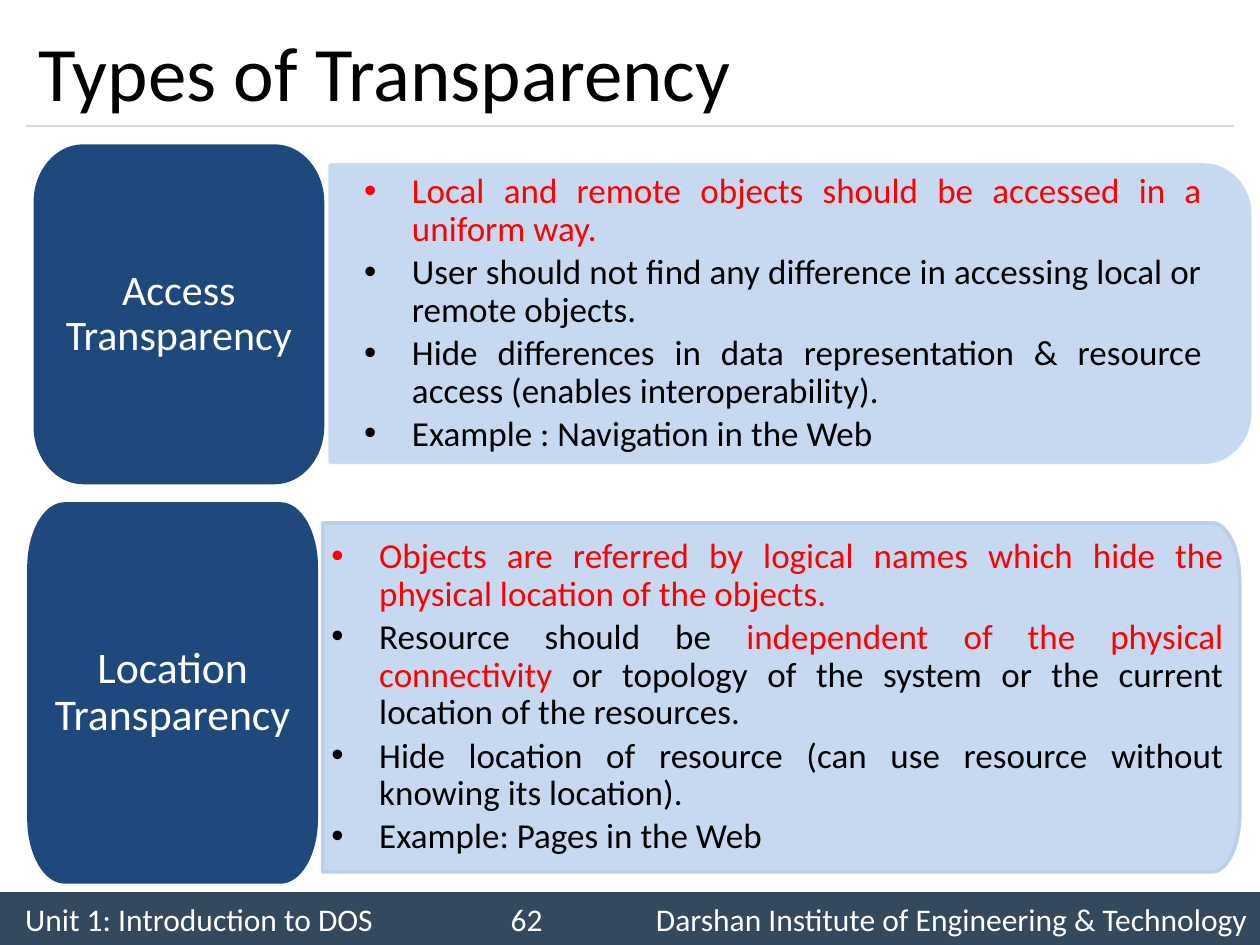
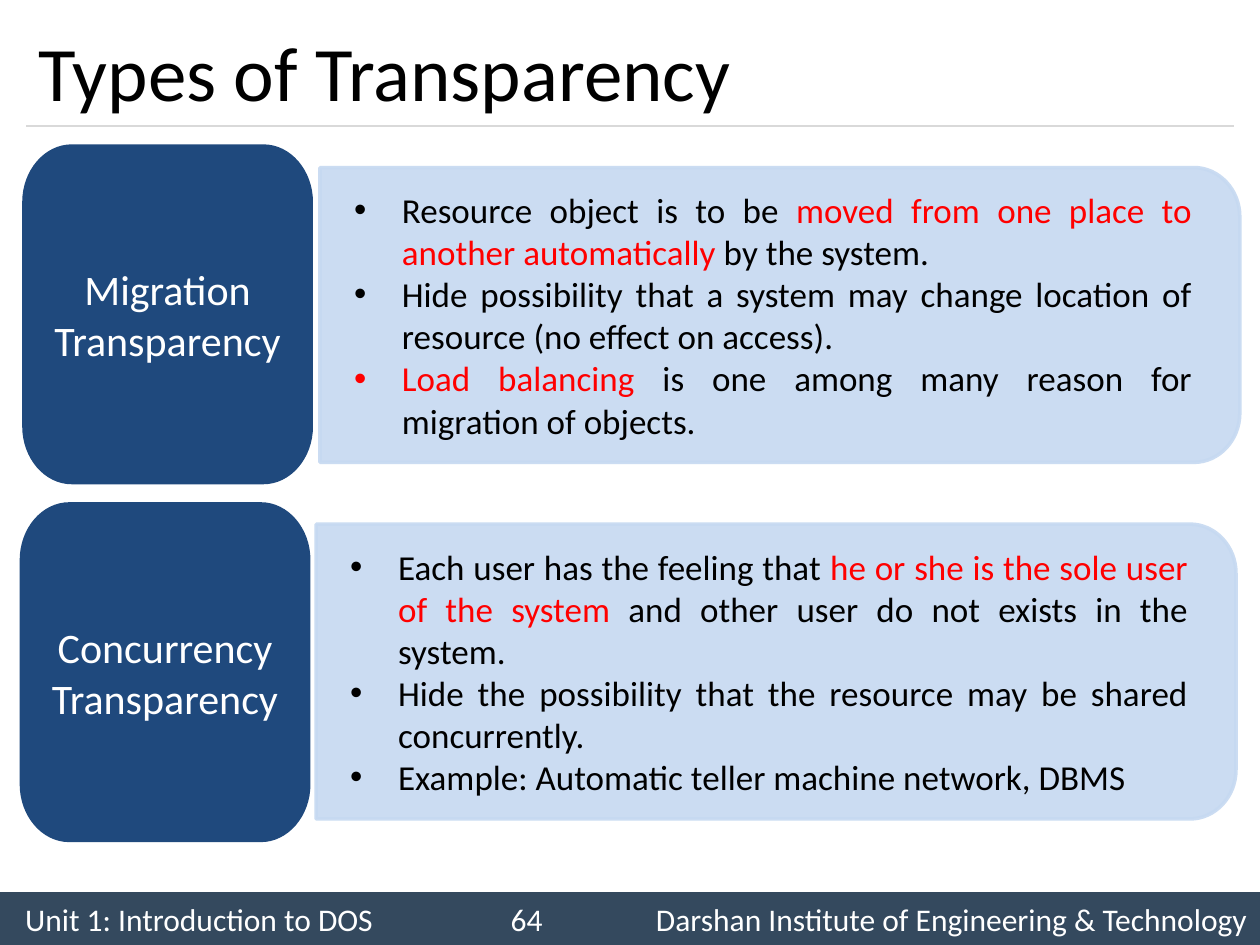
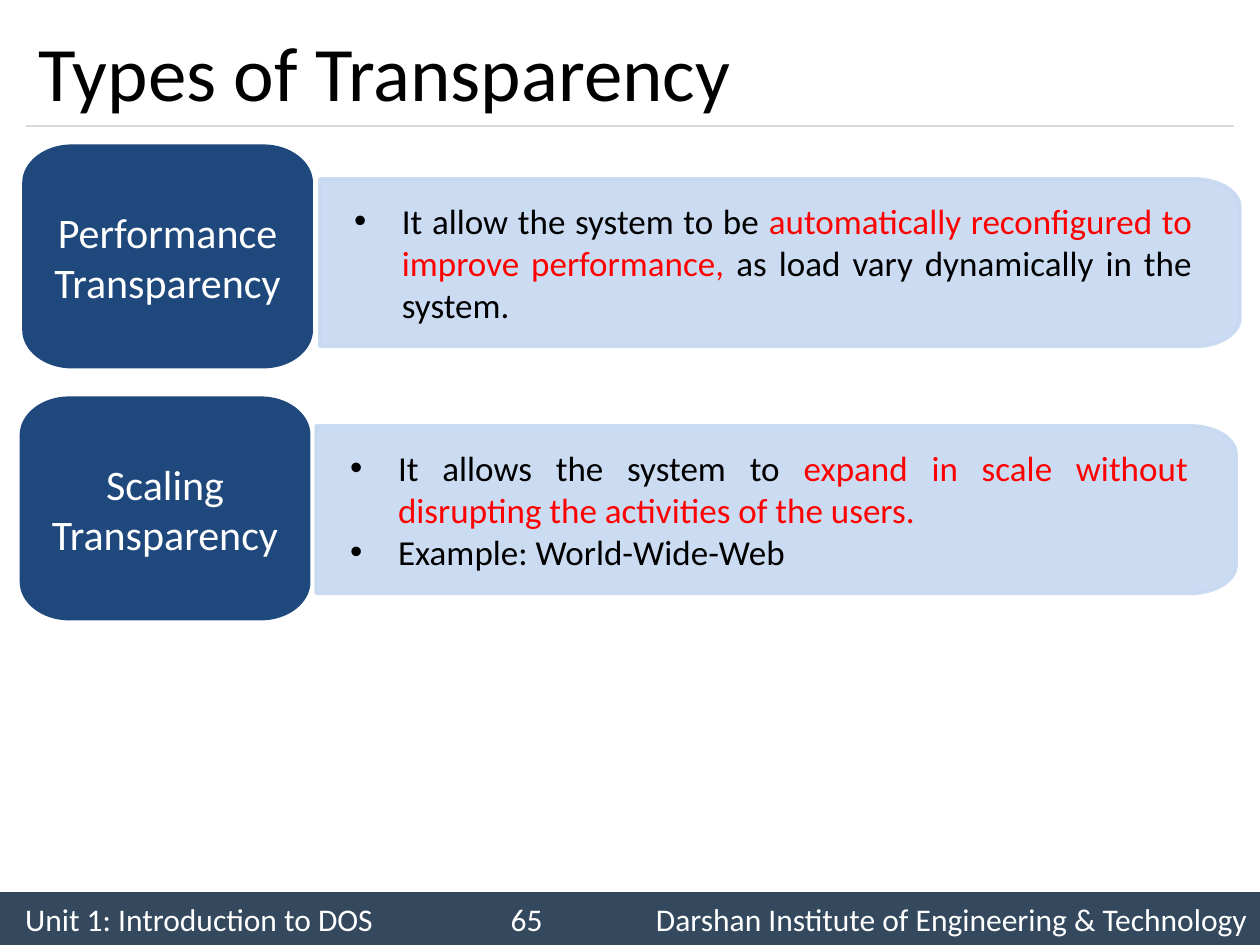
from lxml import etree
from pptx import Presentation, util as u
from pptx.dml.color import RGBColor
from pptx.enum import shapes as s, text as t
from pptx.oxml.ns import qn

W, H = 10, 7.5
FONT = "Calibri"
NAVY, PALE, EDGE = "1F497D", "C6D9F1", "B9CDE5"
BAND, RULE = "34495E", "D9D9D9"
RED, BLACK, WHITE = "FF0000", "000000", "FFFFFF"

TITLE = "Types of Transparency"
UNIT = "Unit 1: Introduction to DOS"
SCHOOL = "Darshan Institute of Engineering & Technology"
TAG_W = 2.28
BEND = 0.55  # control point of a quarter ellipse, as a share of its radius

# Text between asterisks is red.
# "tag" is left, top, height of the label; "box" is left, top, width, height of the panel.
TIGHT = dict(spacing=0.9, after=3, alpha=100)
PAGES = [
    (62, [
        dict(name=["Access Transparency"], tag=(0.28, 1.16, 2.67),
             box=(2.62, 1.31, 7.3, 2.36), **TIGHT,
             items=["*Local and remote objects should be accessed in a uniform way.*",
                    "User should not find any difference in accessing local or remote objects.",
                    "Hide differences in data representation & resource access "
                    "(enables interoperability).",
                    "Example : Navigation in the Web"]),
        dict(name=["Location Transparency"], tag=(0.23, 4, 3),
             box=(2.56, 4.15, 7.28, 2.77), **TIGHT,
             size=25, edge=EDGE, round=(1 / 8, 0.03), pad=(0.07, 0.1, 0.13, 0.1),
             items=["*Objects are referred by logical names which hide the physical "
                    "location of the objects.*",
                    "Resource should be *independent of the physical connectivity *or "
                    "topology of the system or the current location of the resources.",
                    "Hide location of resource (can use resource without knowing its location).",
                    "Example: Pages in the Web"]),
    ]),
    (64, [
        dict(name=["Migration Transparency"], tag=(0.19, 1.16, 2.67),
             box=(2.54, 1.33, 7.3, 2.34),
             items=["Resource object is to be *moved from one place to another "
                    "automatically* by the system.",
                    "Hide possibility that a system may change location of resource "
                    "(no effect on access).",
                    "*Load balancing *is one among many reason for migration of objects."]),
        dict(name=["Concurrency Transparency"], tag=(0.17, 4, 2.67),
             box=(2.51, 4.16, 7.3, 2.34),
             items=["Each user has the feeling that *he or she is the sole user of the "
                    "system* and other user do not exists in the system.",
                    "Hide the possibility that the resource may be shared concurrently.",
                    "Example: Automatic teller machine network, DBMS"]),
    ]),
    (65, [
        dict(name=["Performance Transparency"], tag=(0.19, 1.16, 1.75),
             box=(2.54, 1.42, 7.3, 1.33),
             items=["It allow the system to be *automatically reconfigured to improve "
                    "performance, *as load vary dynamically in the system."]),
        dict(name=["Scaling", "Transparency"], tag=(0.17, 3.16, 1.75),
             box=(2.51, 3.38, 7.3, 1.33),
             items=["It allows the system to *expand in scale without disrupting the "
                    "activities of the users.*",
                    "Example: World-Wide-Web"]),
    ]),
]


def rgb(code):
    return RGBColor.from_string(code)


def add(parent, tag, **attrs):
    return etree.SubElement(parent, qn(tag), attrs)


def paint(shape, fill, line=None, alpha=(100, 100)):
    """Set fill and line; alpha holds the opacity of each in percent."""
    shape.shadow.inherit = False
    shape.fill.solid()
    shape.fill.fore_color.rgb = rgb(fill)
    if not line:
        shape.line.fill.background()
        return
    shape.line.color.rgb = rgb(line)
    shape.line.width = u.Pt(2)
    for tone, share in zip(shape._element.spPr.iter(qn("a:srgbClr")), alpha):
        if share < 100:
            add(tone, "a:alpha", val=str(share * 1000))


def write(shape, lines, size, color=BLACK, align=t.PP_ALIGN.LEFT, pad=(0.1, 0.05, 0.1, 0.05),
          spacing=None, after=0, bullet=False, tabs=()):
    frame = shape.text_frame
    frame.word_wrap = True
    frame.vertical_anchor = t.MSO_ANCHOR.MIDDLE
    (frame.margin_left, frame.margin_top,
     frame.margin_right, frame.margin_bottom) = map(u.Inches, pad)
    for i, line in enumerate(lines):
        para = frame.paragraphs[0] if i == 0 else frame.add_paragraph()
        para.alignment = align
        if spacing:
            para.line_spacing = spacing
        if after:
            para.space_after = u.Pt(after)
        props = para._p.get_or_add_pPr()
        if bullet:
            props.set("marL", str(u.Inches(0.38)))
            props.set("indent", str(-u.Inches(0.38)))
            add(props, "a:buFont", typeface="Arial")
            add(props, "a:buChar", char="•")
        if tabs:
            stops = add(props, "a:tabLst")
            for pos, kind in tabs:
                add(stops, "a:tab", pos=str(u.Inches(pos)), algn=kind)
        for k, part in enumerate(line.split("*")):
            if part:
                run = para.add_run()
                run.text = part
                run.font.name, run.font.size = FONT, u.Pt(size)
                run.font.color.rgb = rgb(RED if k % 2 else color)


def rounded(slide, x, y, w, h, rx, ry, left=True):
    """Outline with elliptical corners, on the right only unless left is set."""
    r, b = x + w, y + h
    points = [(r - rx, y), (r, y + ry), (r, b - ry), (r - rx, b)]
    if left:
        points += [(x + rx, b), (x, b - ry), (x, y + ry), (x + rx, y)]
    else:
        points += [(x, b), (x, y)]
    points = [(u.Inches(px), u.Inches(py)) for px, py in points]
    pen = slide.shapes.build_freeform(*points[0])
    pen.add_line_segments(points[1:], close=True)
    shape = pen.convert_to_shape()
    steps = list(next(shape._element.iter(qn("a:pathLst")))[0])
    for n in (1, 3, 5, 7) if left else (1, 3):
        curve(steps[n - 1], steps[n], flat=n in (1, 5))
    return shape


def curve(before, step, flat):
    """Turn a cut corner into a quarter ellipse that sets off level if flat."""
    (sx, sy), (ex, ey) = [(int(e[-1].get("x")), int(e[-1].get("y"))) for e in (before, step)]
    cx, cy = (ex, sy) if flat else (sx, ey)
    step.tag = qn("a:cubicBezTo")
    for i, (px, py) in enumerate([(sx, sy), (ex, ey)]):
        handle = etree.Element(qn("a:pt"), x=str(round(px + BEND * (cx - px))),
                               y=str(round(py + BEND * (cy - py))))
        step.insert(i, handle)


def frame(slide, number):
    """Footer band, rule and title."""
    band = slide.shapes.add_shape(s.MSO_SHAPE.RECTANGLE, 0, u.Inches(7.08),
                                  u.Inches(W), u.Inches(H - 7.08))
    paint(band, BAND)
    write(band, [f"{UNIT}\t{number}\t{SCHOOL}"], 18, WHITE, pad=(0.2, 0.05, 0.05, 0.05),
          tabs=[(3.98, "ctr"), (9.7, "r")])
    rule = slide.shapes.add_connector(s.MSO_CONNECTOR.STRAIGHT, u.Inches(0.21), u.Inches(1),
                                      u.Inches(W - 0.21), u.Inches(1))
    rule.line.color.rgb, rule.line.width = rgb(RULE), u.Pt(0.75)
    add(rule._element.spPr, "a:effectLst")
    head = slide.shapes.add_textbox(*map(u.Inches, (0.21, 0.12, W - 0.42, 0.88)))
    write(head, [TITLE], 44)


def entry(slide, name, tag, box, items, size=24, edge=PALE, round=(1 / 6, 0.05),
          pad=(0.27, 0.24, 0.38, 0.24), spacing=None, after=0, alpha=90):
    """Panel of bullets with its label on the left."""
    wide, tall = box[2:]
    panel = rounded(slide, *box, wide * round[1], tall / 6, left=False)
    paint(panel, PALE, edge, (alpha, 90))
    write(panel, items, 20, align=t.PP_ALIGN.JUSTIFY, pad=pad, spacing=spacing,
          after=after, bullet=True)
    x, y, h = tag
    label = rounded(slide, x, y, TAG_W, h, TAG_W * round[0], h / 6)
    paint(label, NAVY, NAVY)
    write(label, name, size, WHITE, t.PP_ALIGN.CENTER, (0.19, 0.15, 0.19, 0.15), spacing)


def main():
    deck = Presentation()
    deck.slide_width, deck.slide_height = u.Inches(W), u.Inches(H)
    for number, entries in PAGES:
        slide = deck.slides.add_slide(deck.slide_layouts[6])
        frame(slide, number)
        for item in entries:
            entry(slide, **item)
    deck.save("out.pptx")


if __name__ == "__main__":
    main()
